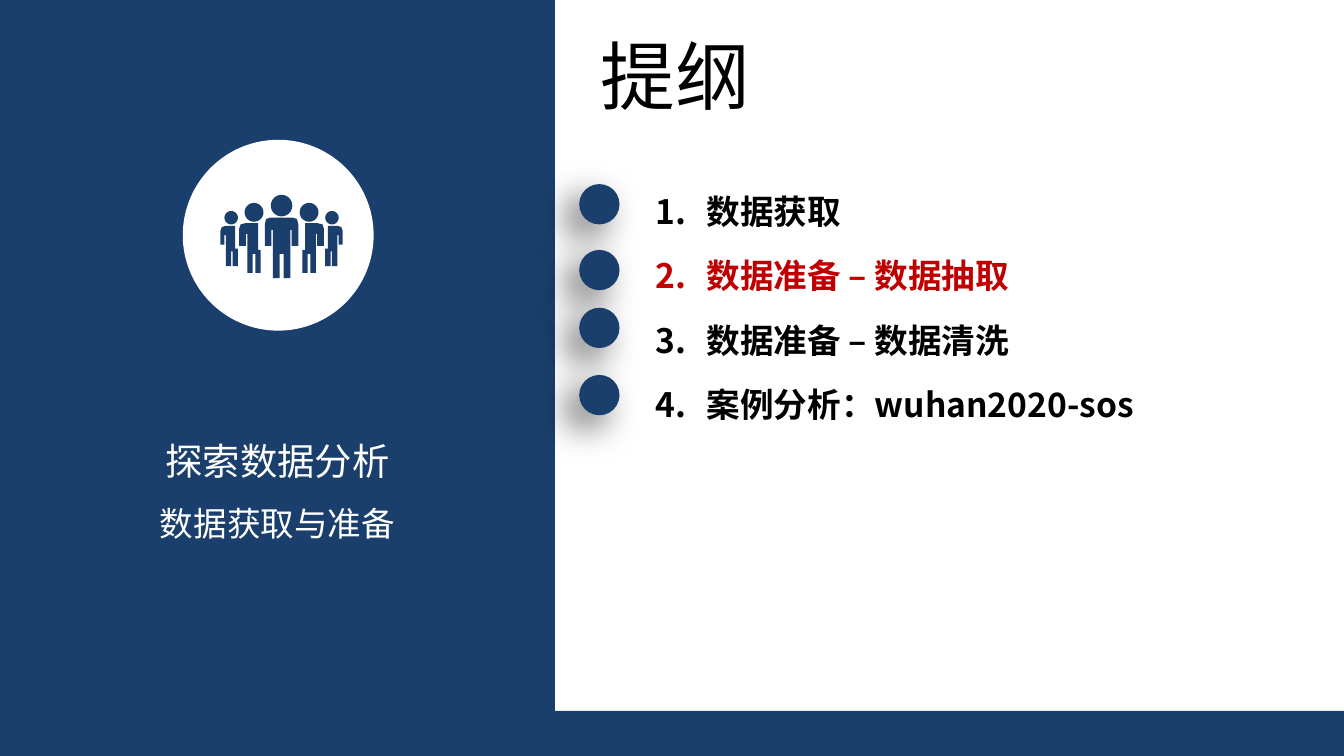
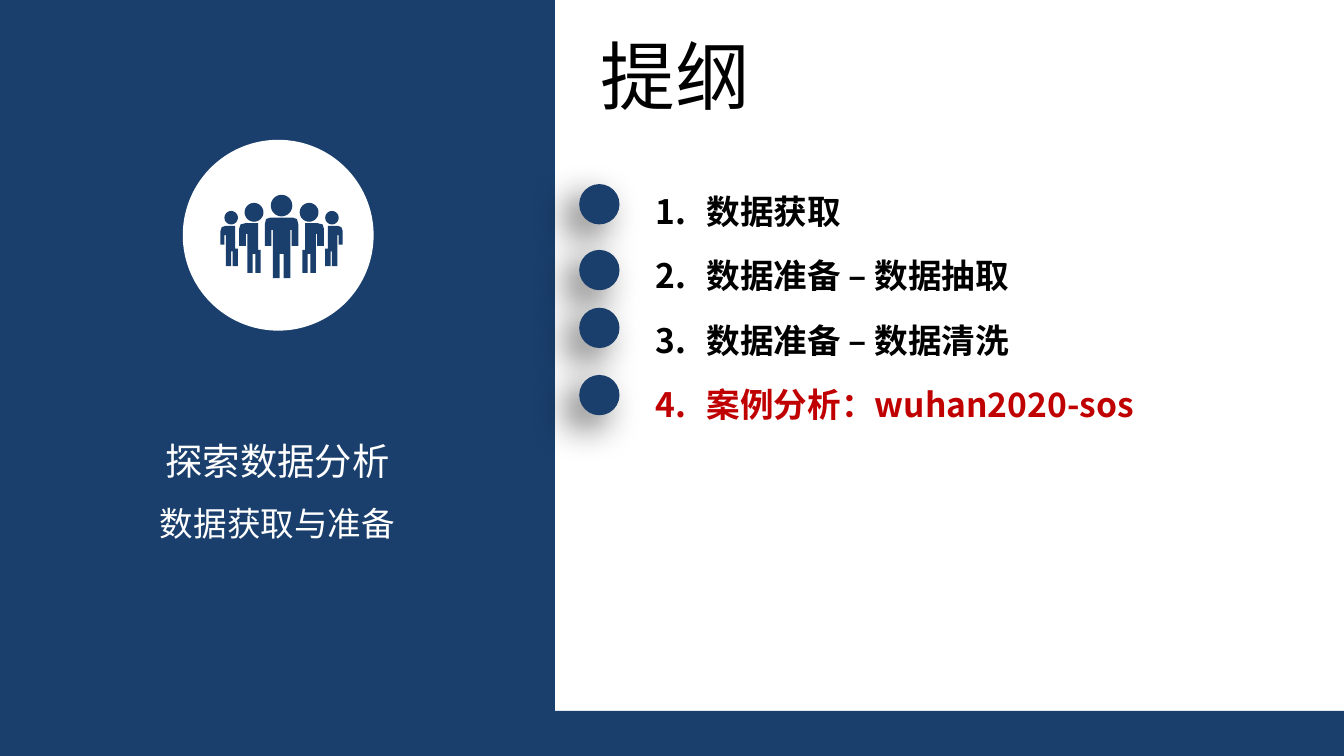
from dataclasses import dataclass
from math import cos, pi, sin

from lxml import etree
from pptx import Presentation
from pptx.dml.color import RGBColor
from pptx.enum.shapes import MSO_SHAPE
from pptx.enum.text import MSO_AUTO_SIZE, PP_ALIGN
from pptx.oxml.ns import qn
from pptx.util import Inches, Pt

RECTANGLE = MSO_SHAPE.RECTANGLE
OVAL = MSO_SHAPE.OVAL
FIT_SHAPE = MSO_AUTO_SIZE.SHAPE_TO_FIT_TEXT
LEFT = PP_ALIGN.LEFT
CENTER = PP_ALIGN.CENTER


@dataclass(frozen=True)
class Theme:
    """Colours, font and type sizes shared by the slides."""

    navy: str = "1A3F6C"
    white: str = "FFFFFF"
    black: str = "000000"
    red: str = "C00000"
    font: str = "Noto Sans CJK SC"
    title_size: int = 40
    course_size: int = 20
    body_size: int = 18


@dataclass(frozen=True)
class Box:
    """A region in inches."""

    left: float
    top: float
    width: float
    height: float

    def inside(self, left, top, width, height):
        """Return a box whose position is relative to this one."""
        return Box(self.left + left, self.top + top, width, height)

    def lengths(self):
        """Return left, top, width and height as slide lengths."""
        return [Inches(value) for value in (self.left, self.top, self.width, self.height)]


THEME = Theme()
SLIDE_WIDTH = 10
SLIDE_HEIGHT = SLIDE_WIDTH * 9 / 16
PANEL_WIDTH = 4.13
FOOTER_TOP = 5.29
SIDE_PANEL = Box(0, 0, PANEL_WIDTH, SLIDE_HEIGHT)
CONTENT = Box(PANEL_WIDTH, 0, SLIDE_WIDTH - PANEL_WIDTH, FOOTER_TOP)
FOOTER = Box(0, FOOTER_TOP, SLIDE_WIDTH, SLIDE_HEIGHT - FOOTER_TOP)

TOPICS = ["数据获取", "数据准备 – 数据抽取", "数据准备 – 数据清洗", "案例分析：wuhan2020-sos"]
CURRENT_TOPICS = [1, 3]
DOT_TOPS = [1.37, 1.86, 2.29, 2.79]

ICON_WIDTH = 0.91
LEADER_HEAD = (ICON_WIDTH / 2, 0.08, 0.08)
LEADER_RIGHT_HALF = [
    (0.54, 0.17), (0.57, 0.18), (0.58, 0.22), (0.58, 0.38), (0.53, 0.38), (0.53, 0.26),
    (0.52, 0.26), (0.52, 0.62), (0.47, 0.62), (0.47, 0.44),
]
SIDE_HEADS = [(0.66, 0.13, 0.07), (0.83, 0.17, 0.05)]
SIDE_BODIES = [
    [
        (0.61, 0.41), (0.61, 0.58), (0.65, 0.58), (0.65, 0.44), (0.67, 0.44), (0.67, 0.58),
        (0.71, 0.58), (0.71, 0.29), (0.72, 0.29), (0.72, 0.38), (0.77, 0.38), (0.77, 0.25),
        (0.76, 0.22), (0.72, 0.21), (0.63, 0.21), (0.63, 0.41),
    ],
    [
        (0.78, 0.4), (0.78, 0.53), (0.82, 0.53), (0.82, 0.42), (0.83, 0.42), (0.83, 0.53),
        (0.87, 0.53), (0.87, 0.3), (0.88, 0.3), (0.88, 0.37), (0.91, 0.37), (0.91, 0.27),
        (0.9, 0.24), (0.87, 0.23), (0.8, 0.23), (0.8, 0.4),
    ],
]


def add_filled_shape(shapes, kind, box, color):
    """Add a preset shape with a flat fill and no line."""
    return paint(shapes.add_shape(kind, *box.lengths()), color)


def paint(shape, color):
    """Give a shape a flat fill without line or shadow."""
    shape.fill.solid()
    shape.fill.fore_color.rgb = RGBColor.from_string(color)
    shape.line.fill.background()
    shape.shadow.inherit = False
    return shape


def add_soft_shadow(shape):
    """Cast a soft shadow to the lower left."""
    effects = shape._element.spPr.find(qn("a:effectLst"))
    shadow = etree.SubElement(
        effects, qn("a:outerShdw"), blurRad=str(Pt(20)), dist=str(Pt(10)),
        dir=str(135 * 60000), algn="tr", rotWithShape="0",
    )
    color = etree.SubElement(shadow, qn("a:srgbClr"), val=THEME.black)
    etree.SubElement(color, qn("a:alpha"), val="60000")


def add_text_box(slide, box, wrap=False, inset=None):
    """Add a text box that grows with its text and return its frame."""
    frame = slide.shapes.add_textbox(*box.lengths()).text_frame
    frame.word_wrap = wrap
    frame.auto_size = FIT_SHAPE
    if inset is not None:
        frame.margin_left = frame.margin_right = Inches(inset)
        frame.margin_top = frame.margin_bottom = Inches(inset)
    return frame


def write(frame, text, size, color, first=False, bold=False, align=LEFT, spacing=None, numbered=False):
    """Write one formatted paragraph into a text frame."""
    paragraph = frame.paragraphs[0] if first else frame.add_paragraph()
    paragraph.alignment = align
    paragraph.line_spacing = spacing
    if numbered:
        properties = paragraph._p.get_or_add_pPr()
        indent = Inches(0.38)
        properties.set("marL", str(indent))
        properties.set("indent", str(-indent))
        etree.SubElement(properties, qn("a:buFont"), typeface=THEME.font)
        etree.SubElement(properties, qn("a:buAutoNum"), type="arabicPeriod")
    run = paragraph.add_run()
    run.text = text
    run.font.size = Pt(size)
    run.font.bold = bold
    run.font.name = THEME.font
    run.font.color.rgb = RGBColor.from_string(color)
    etree.SubElement(run._r.get_or_add_rPr(), qn("a:ea"), typeface=THEME.font)


def circle_points(center_x, center_y, radius, count=32):
    """Return points evenly spaced around a circle."""
    angles = [2 * pi * step / count for step in range(count)]
    return [(center_x + radius * cos(angle), center_y + radius * sin(angle)) for angle in angles]


def mirrored(points):
    """Reflect an outline across the middle of the icon."""
    return [(ICON_WIDTH - x, y) for x, y in reversed(points)]


def add_people_icon(shapes, box):
    """Draw five standing people as one outline."""
    side_outlines = SIDE_BODIES + [circle_points(*head) for head in SIDE_HEADS]
    outlines = [LEADER_RIGHT_HALF + mirrored(LEADER_RIGHT_HALF), circle_points(*LEADER_HEAD)]
    outlines += side_outlines + [mirrored(outline) for outline in side_outlines]
    builder = None
    for outline in outlines:
        start, *others = [(Inches(box.left + x), Inches(box.top + y)) for x, y in outline]
        if builder is None:
            builder = shapes.build_freeform(*start)
        else:
            builder.move_to(*start)
        builder.add_line_segments(others, close=True)
    paint(builder.convert_to_shape(), THEME.navy)


def add_side_panel(slide, box):
    """Place the navy panel with its badge and course name."""
    add_filled_shape(slide.shapes, RECTANGLE, box, THEME.navy)
    badge = slide.shapes.add_group_shape().shapes
    add_filled_shape(badge, OVAL, box.inside(1.36, 1.04, 1.42, 1.42), THEME.white)
    add_people_icon(badge, box.inside(1.64, 1.45, ICON_WIDTH, 0.63))
    frame = add_text_box(slide, box.inside(0.59, 3.09, 2.95, 0.95), wrap=True, inset=0)
    style = {"color": THEME.white, "align": CENTER, "spacing": 1.5}
    write(frame, "探索数据分析", THEME.course_size, first=True, **style)
    write(frame, "数据获取与准备", THEME.body_size, **style)


def add_outline(slide, box, current):
    """Place the title, the numbered topics and their dots."""
    title = add_text_box(slide, box.inside(0.24, 0.17, 1.32, 0.77))
    write(title, "提纲", THEME.title_size, THEME.black, first=True)
    topics = add_text_box(slide, box.inside(0.65, 1.19, 3.84, 2.04))
    for index, topic in enumerate(TOPICS):
        color = THEME.red if index == current else THEME.black
        write(topics, topic, THEME.body_size, color, first=index == 0,
              bold=True, spacing=1.6, numbered=True)
    for top in DOT_TOPS:
        dot = add_filled_shape(slide.shapes, OVAL, box.inside(0.18, top, 0.3, 0.3), THEME.navy)
        add_soft_shadow(dot)


def add_outline_slide(presentation, current):
    """Add an outline slide with one topic highlighted."""
    slide = presentation.slides.add_slide(presentation.slide_layouts[6])
    add_filled_shape(slide.shapes, RECTANGLE, FOOTER, THEME.navy)
    add_side_panel(slide, SIDE_PANEL)
    add_outline(slide, CONTENT, current)


def main():
    """Build and save the presentation."""
    presentation = Presentation()
    presentation.slide_width = Inches(SLIDE_WIDTH)
    presentation.slide_height = Inches(SLIDE_HEIGHT)
    for current in CURRENT_TOPICS:
        add_outline_slide(presentation, current)
    presentation.save("out.pptx")


if __name__ == "__main__":
    main()
